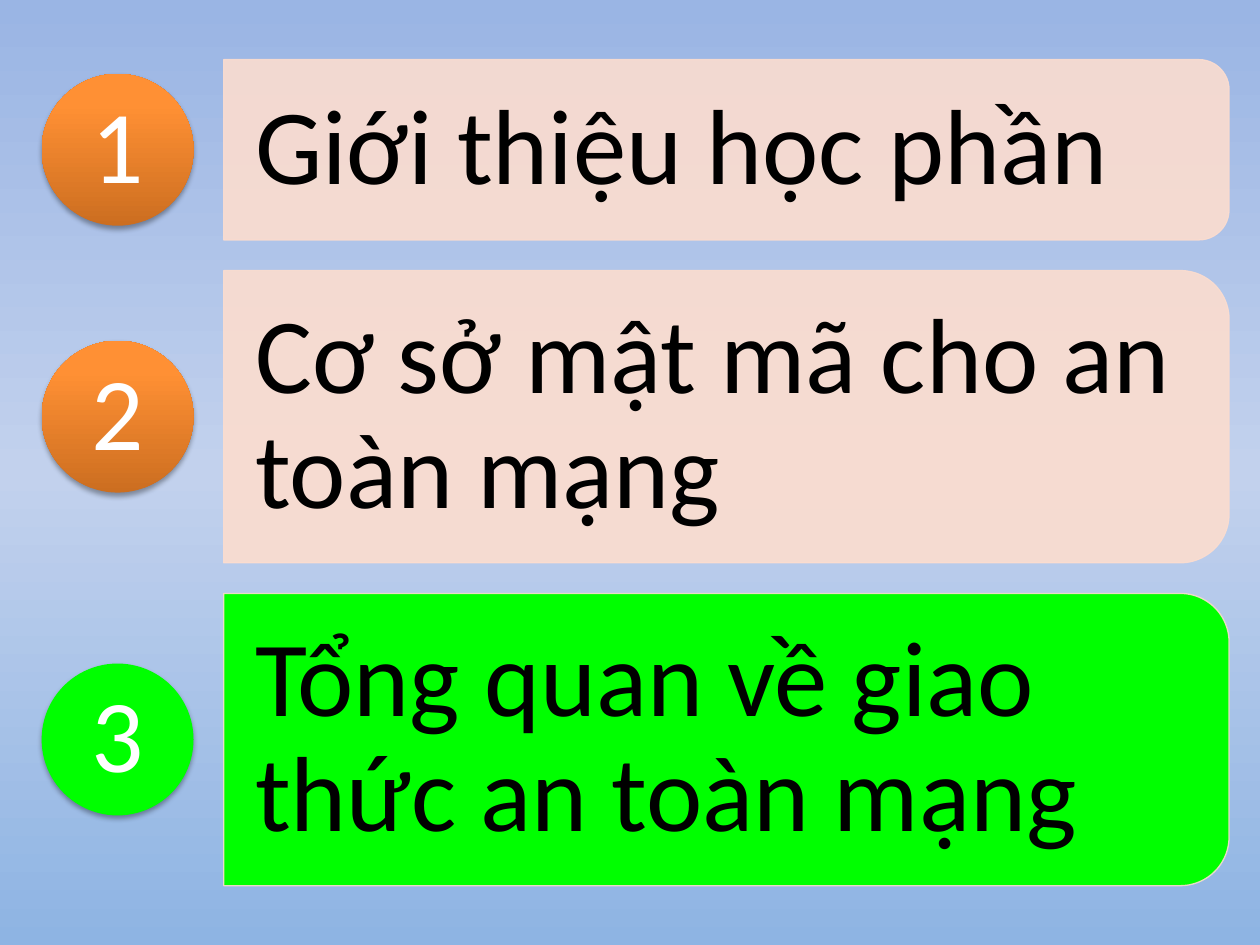
from dataclasses import dataclass

from pptx import Presentation
from pptx.dml.color import RGBColor
from pptx.enum import shapes, text
from pptx.oxml import ns, xmlchemy
from pptx.util import Pt

GREEN = "00FF00"
PEACH = "FCDDCF"
BLUE_STOPS = [(0, "9AB5E4"), (50, "C2D1ED"), (100, "8EB4E3")]
ORANGE_STOPS = [(0, "CC6E20"), (80, "FF9034"), (100, "FF9136")]

BAR_LEFT, BAR_WIDTH = 127.8, 574.5
FIRST_TOP, GAP = 34.1, 17.5
CIRCLE_LEFT, CIRCLE_SIZE = 23.8, 86.8
CORNER_INSET = 0.05


@dataclass(frozen=True)
class Topic:
    number: int
    title: str
    height: float
    current: bool = False


TOPICS = [
    Topic(1, "Giới thiệu học phần", 103),
    Topic(2, "Cơ sở mật mã cho an toàn mạng", 167),
    Topic(3, "Tổng quan về giao thức an toàn mạng", 167, current=True),
]


def color(value: str) -> RGBColor:
    return RGBColor.from_string(value)


def add_element(parent, tag: str, **attributes):
    element = xmlchemy.OxmlElement(tag)
    for name, value in attributes.items():
        element.set(name, str(value))
    parent.append(element)
    return element


def set_gradient(fill, owner, stops: list, angle: int) -> None:
    fill.gradient()
    gradient = owner.find(".//" + ns.qn("a:gradFill"))
    for child in list(gradient):
        gradient.remove(child)
    stop_list = add_element(gradient, "a:gsLst")
    for position, value in stops:
        stop = add_element(stop_list, "a:gs", pos=position * 1000)
        add_element(stop, "a:srgbClr", val=value)
    add_element(gradient, "a:lin", ang=angle * 60000, scaled=0)


def set_opacity(shape, percent: int) -> None:
    for value in shape._element.spPr.iter(ns.qn("a:srgbClr")):
        if value.get("val") == PEACH:
            add_element(value, "a:alpha", val=percent * 1000)


def add_shadow(shape) -> None:
    effects = shape._element.spPr.find(ns.qn("a:effectLst"))
    shadow = add_element(effects, "a:outerShdw", blurRad=Pt(3.1), dist=Pt(1.8),
                         dir=90 * 60000, rotWithShape=0)
    black = add_element(shadow, "a:srgbClr", val="000000")
    add_element(black, "a:alpha", val=35000)


def write(shape, words: str, size: int, value: str, align, inset_x: float, inset_y: float) -> None:
    frame = shape.text_frame
    frame.word_wrap = True
    frame.vertical_anchor = text.MSO_ANCHOR.MIDDLE
    frame.margin_left = frame.margin_right = Pt(inset_x)
    frame.margin_top = frame.margin_bottom = Pt(inset_y)
    paragraph = frame.paragraphs[0]
    paragraph.text = words
    paragraph.alignment = align
    paragraph.line_spacing = 0.9
    paragraph.font.name = "Calibri"
    paragraph.font.size = Pt(size)
    paragraph.font.color.rgb = color(value)


def add_bar(slide, topic: Topic, top: float) -> None:
    middle_x = BAR_LEFT + BAR_WIDTH / 2
    middle_y = top + topic.height / 2
    bar = slide.shapes.add_shape(
        shapes.MSO_SHAPE.ROUND_2_SAME_RECTANGLE,
        Pt(middle_x - topic.height / 2), Pt(middle_y - BAR_WIDTH / 2),
        Pt(topic.height), Pt(BAR_WIDTH))
    bar.rotation = 90
    bar.shadow.inherit = False
    bar.fill.solid()
    bar.fill.fore_color.rgb = color(GREEN if topic.current else PEACH)
    bar.line.color.rgb = color(PEACH)
    bar.line.width = Pt(0.75)
    set_opacity(bar, 90)

    inset = topic.height * CORNER_INSET
    title = slide.shapes.add_textbox(Pt(BAR_LEFT), Pt(top + inset),
                                     Pt(BAR_WIDTH - inset), Pt(topic.height - 2 * inset))
    write(title, topic.title, 61, "000000", text.PP_ALIGN.LEFT, 18, 12)


def add_circle(slide, topic: Topic, top: float) -> None:
    circle = slide.shapes.add_shape(
        shapes.MSO_SHAPE.OVAL, Pt(CIRCLE_LEFT),
        Pt(top + (topic.height - CIRCLE_SIZE) / 2), Pt(CIRCLE_SIZE), Pt(CIRCLE_SIZE))
    circle.shadow.inherit = False
    circle.line.fill.background()
    if topic.current:
        circle.fill.solid()
        circle.fill.fore_color.rgb = color(GREEN)
    else:
        set_gradient(circle.fill, circle._element, ORANGE_STOPS, 270)
    add_shadow(circle)
    write(circle, str(topic.number), 59, "FFFFFF", text.PP_ALIGN.CENTER, 0, 0)


def main() -> None:
    presentation = Presentation()
    presentation.slide_width = Pt(720)
    presentation.slide_height = Pt(540)
    slide = presentation.slides.add_slide(presentation.slide_layouts[6])
    set_gradient(slide.background.fill, slide.element, BLUE_STOPS, 90)

    top = FIRST_TOP
    for topic in TOPICS:
        add_bar(slide, topic, top)
        add_circle(slide, topic, top)
        top += topic.height + GAP
    presentation.save("out.pptx")


if __name__ == "__main__":
    main()
